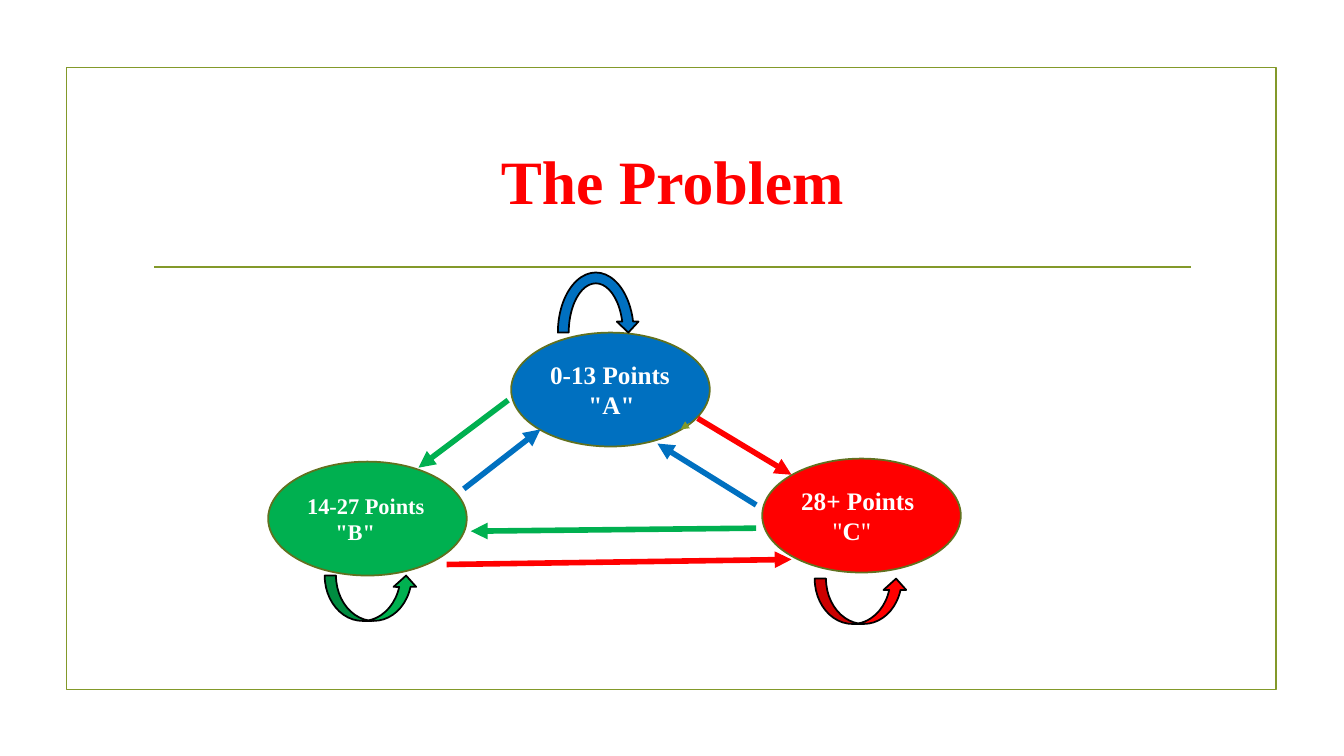
"""Build the slide showing the transitions between three point groups."""
from dataclasses import dataclass

from lxml import etree
from pptx import Presentation
from pptx.dml.color import RGBColor
from pptx.enum.shapes import MSO_CONNECTOR, MSO_SHAPE
from pptx.enum.text import MSO_ANCHOR, PP_ALIGN
from pptx.oxml.ns import qn
from pptx.shapes.autoshape import Shape
from pptx.slide import Slide
from pptx.util import Inches, Pt

RECTANGLE = MSO_SHAPE.RECTANGLE
OVAL = MSO_SHAPE.OVAL
CIRCULAR_ARROW = MSO_SHAPE.CIRCULAR_ARROW
CURVED_UP_ARROW = MSO_SHAPE.CURVED_UP_ARROW
STRAIGHT = MSO_CONNECTOR.STRAIGHT
MIDDLE = MSO_ANCHOR.MIDDLE
CENTER = PP_ALIGN.CENTER
LEFT = PP_ALIGN.LEFT


@dataclass(frozen=True)
class Theme:
    font: str = "Times New Roman"
    blue: str = "0070C0"
    green: str = "00B050"
    red: str = "FF0000"
    white: str = "FFFFFF"
    black: str = "000000"
    olive: str = "83992A"
    dark_olive: str = "61711F"
    title_size: float = 44
    outline: float = 1.25
    thin: float = 0.75
    thick: float = 4


@dataclass(frozen=True)
class Box:
    left: float
    top: float
    width: float
    height: float


@dataclass(frozen=True)
class Group:
    points: str
    letter: str
    left: float
    top: float
    color: str
    size: float
    indent: float
    bold_quotes: bool = True


@dataclass(frozen=True)
class Loop:
    kind: MSO_SHAPE
    box: Box
    color: str


@dataclass(frozen=True)
class Line:
    start: tuple[float, float]
    end: tuple[float, float]
    color: str
    width: float = Theme.thick
    arrow: bool = True


THEME = Theme()
GROUP_WIDTH, GROUP_HEIGHT = 1.97, 1.13
FRAME = Box(0.66, 0.67, 12, 6.17)
TITLE = Box(1.42, 1.07, 10.5, 1.43)
RULE = Line((1.53, 2.65), (11.81, 2.65), THEME.olive, THEME.outline, False)

GROUPS = (
    Group("0-13 Points", "A", 5.07, 3.3, THEME.blue, 18, 0.38),
    Group("14-27 Points", "B", 2.66, 4.58, THEME.green, 16, 0.28),
    Group("28+ Points", "C", 7.56, 4.55, THEME.red, 18, 0.31, False),
)
LOOPS = (
    Loop(CIRCULAR_ARROW, Box(5.48, 2.65, 0.86, 1.3), THEME.blue),
    Loop(CURVED_UP_ARROW, Box(3.22, 5.71, 0.92, 0.45), THEME.green),
    Loop(CURVED_UP_ARROW, Box(8.08, 5.74, 0.92, 0.45), THEME.red),
)
TRANSITIONS = (
    Line((5.04, 3.97), (4.15, 4.64), THEME.green),
    Line((6.92, 4.15), (7.85, 4.71), THEME.red),
    Line((4.6, 4.85), (5.36, 4.26), THEME.blue),
    Line((4.43, 5.6), (7.85, 5.55), THEME.red),
    Line((7.5, 5.24), (4.67, 5.27), THEME.green),
    Line((6.84, 4.2), (6.75, 4.26), THEME.olive, THEME.thin),
    Line((7.5, 5.01), (6.52, 4.4), THEME.blue),
)


def lengths(box: Box) -> tuple[Inches, ...]:
    return tuple(Inches(n) for n in (box.left, box.top, box.width, box.height))


def add_outlined(slide: Slide, kind: MSO_SHAPE, box: Box, outline: str,
                 fill: str | None = None) -> Shape:
    shape = slide.shapes.add_shape(kind, *lengths(box))
    shape.shadow.inherit = False
    if fill:
        shape.fill.solid()
        shape.fill.fore_color.rgb = RGBColor.from_string(fill)
    else:
        shape.fill.background()
    shape.line.color.rgb = RGBColor.from_string(outline)
    shape.line.width = Pt(THEME.outline)
    return shape


def style_paragraph(paragraph, size: float, color: str, alignment: PP_ALIGN) -> None:
    paragraph.alignment = alignment
    font = paragraph.font
    font.name = THEME.font
    font.size = Pt(size)
    font.color.rgb = RGBColor.from_string(color)
    font.bold = True


def add_title(slide: Slide, text: str) -> None:
    frame = slide.shapes.add_textbox(*lengths(TITLE)).text_frame
    frame.word_wrap = True
    frame.vertical_anchor = MIDDLE
    paragraph = frame.paragraphs[0]
    paragraph.text = text
    style_paragraph(paragraph, THEME.title_size, THEME.red, CENTER)


def add_group(slide: Slide, group: Group) -> None:
    box = Box(group.left, group.top, GROUP_WIDTH, GROUP_HEIGHT)
    frame = add_outlined(slide, OVAL, box, THEME.dark_olive, group.color).text_frame
    frame.vertical_anchor = MIDDLE
    points, letter = frame.paragraphs[0], frame.add_paragraph()
    points.text = group.points
    if group.bold_quotes:
        letter.text = f'"{group.letter}"'
    else:
        for text in ('"', group.letter, '"'):
            run = letter.add_run()
            run.text = text
            run.font.bold = text == group.letter
    letter._p.get_or_add_pPr().set("marL", str(Inches(group.indent)))
    for paragraph in (points, letter):
        style_paragraph(paragraph, group.size, THEME.white, LEFT)


def add_line(slide: Slide, line: Line) -> None:
    ends = (Inches(n) for n in (*line.start, *line.end))
    connector = slide.shapes.add_connector(STRAIGHT, *ends)
    connector.line.color.rgb = RGBColor.from_string(line.color)
    connector.line.width = Pt(line.width)
    if line.arrow:
        outline = connector.line._get_or_add_ln()
        etree.SubElement(outline, qn("a:tailEnd"), type="triangle")
    etree.SubElement(connector._element.spPr, qn("a:effectLst"))


def main() -> None:
    presentation = Presentation()
    presentation.slide_width = Inches(13.33)
    presentation.slide_height = Inches(7.5)
    slide = presentation.slides.add_slide(presentation.slide_layouts[6])
    add_outlined(slide, RECTANGLE, FRAME, THEME.olive)
    add_line(slide, RULE)
    add_title(slide, "The Problem")
    for group in GROUPS:
        add_group(slide, group)
    for loop in LOOPS:
        add_outlined(slide, loop.kind, loop.box, THEME.black, loop.color)
    for transition in TRANSITIONS:
        add_line(slide, transition)
    presentation.save("out.pptx")


if __name__ == "__main__":
    main()
